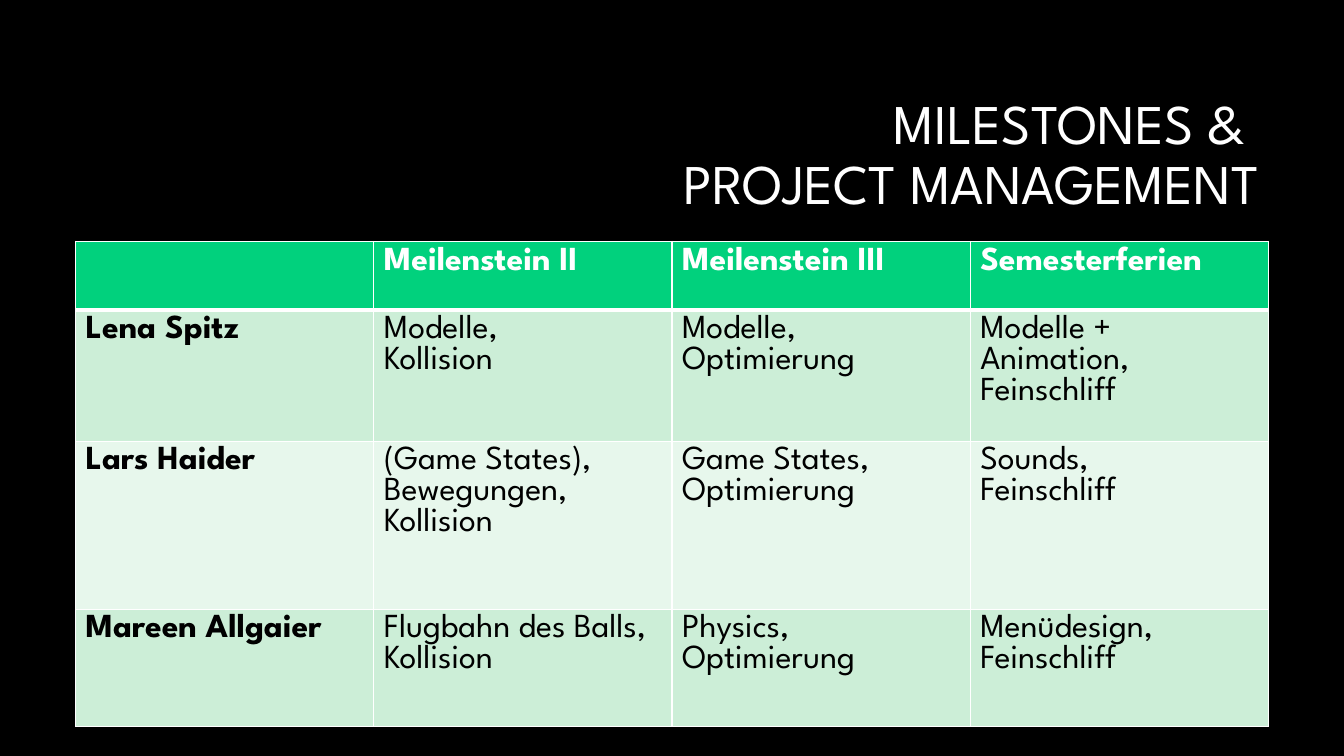
"""Build the milestones and project management slide."""
from dataclasses import dataclass

from lxml.etree import SubElement
from pptx import Presentation
from pptx.dml.color import RGBColor as RGB
from pptx.enum.text import MSO_ANCHOR as ANCHOR, PP_ALIGN as ALIGN
from pptx.oxml.ns import qn
from pptx.util import Pt


@dataclass
class Theme:
    font: str = "League Spartan"
    title_size: int = 40
    cell_size: int = 24
    black: str = "000000"
    white: str = "FFFFFF"
    header: str = "01D17D"
    bands: tuple = ("CCEED7", "E7F7EC")


theme = Theme()


def style(p, size, color, bold=False):
    p.font.name = theme.font
    p.font.size = Pt(size)
    p.font.bold = bold
    p.font.color.rgb = RGB.from_string(color)


def set_border(cell, side, width):
    tc_pr = cell._tc.get_or_add_tcPr()
    ln = SubElement(tc_pr, qn(f"a:ln{side}"), w=str(Pt(width)))
    fill = SubElement(ln, qn("a:solidFill"))
    SubElement(fill, qn("a:srgbClr"), val=theme.white)


prs = Presentation()
prs.slide_width, prs.slide_height = Pt(960), Pt(540)
s = prs.slides.add_slide(prs.slide_layouts[6])
s.background.fill.solid()
s.background.fill.fore_color.rgb = RGB.from_string(theme.black)

title = s.shapes.add_textbox(Pt(228.2), Pt(60.5), Pt(678.2), Pt(101.5))
tf = title.text_frame
tf.word_wrap = True
tf.vertical_anchor = ANCHOR.MIDDLE
p = tf.paragraphs[0]
p.text = "MILESTONES & \vPROJECT MANAGEMENT"
p.alignment = ALIGN.RIGHT
p.line_spacing = Pt(43)
style(p, theme.title_size, theme.white)

rows = [
    ["", "Meilenstein II", "Meilenstein III", "Semesterferien"],
    ["Lena Spitz", "Modelle,\nKollision", "Modelle,\nOptimierung",
     "Modelle + Animation,\nFeinschliff"],
    ["Lars Haider", "(Game States),\nBewegungen,\nKollision",
     "Game States,\nOptimierung", "Sounds,\nFeinschliff"],
    ["Mareen Allgaier", "Flugbahn des Balls,\nKollision",
     "Physics,\nOptimierung", "Menüdesign, Feinschliff"],
]
row_heights = [49, 84, 120, 84]
column_width = 213

table = s.shapes.add_table(len(rows), len(rows[0]), Pt(54), Pt(172.5),
                           Pt(column_width * len(rows[0])),
                           Pt(sum(row_heights))).table
for column in table.columns:
    column.width = Pt(column_width)

for i, (texts, height) in enumerate(zip(rows, row_heights)):
    table.rows[i].height = Pt(height)
    is_header = i == 0
    color = theme.white if is_header else theme.black
    fill = theme.header if is_header else theme.bands[(i - 1) % 2]
    for j, text in enumerate(texts):
        cell = table.cell(i, j)
        cell.text_frame.text = text
        for p in cell.text_frame.paragraphs:
            style(p, theme.cell_size, color, bold=is_header or j == 0)
        for side in "LRTB":
            under_header = (i, side) in ((0, "B"), (1, "T"))
            set_border(cell, side, 3 if under_header else 1)
        cell.fill.solid()
        cell.fill.fore_color.rgb = RGB.from_string(fill)

prs.save("out.pptx")
